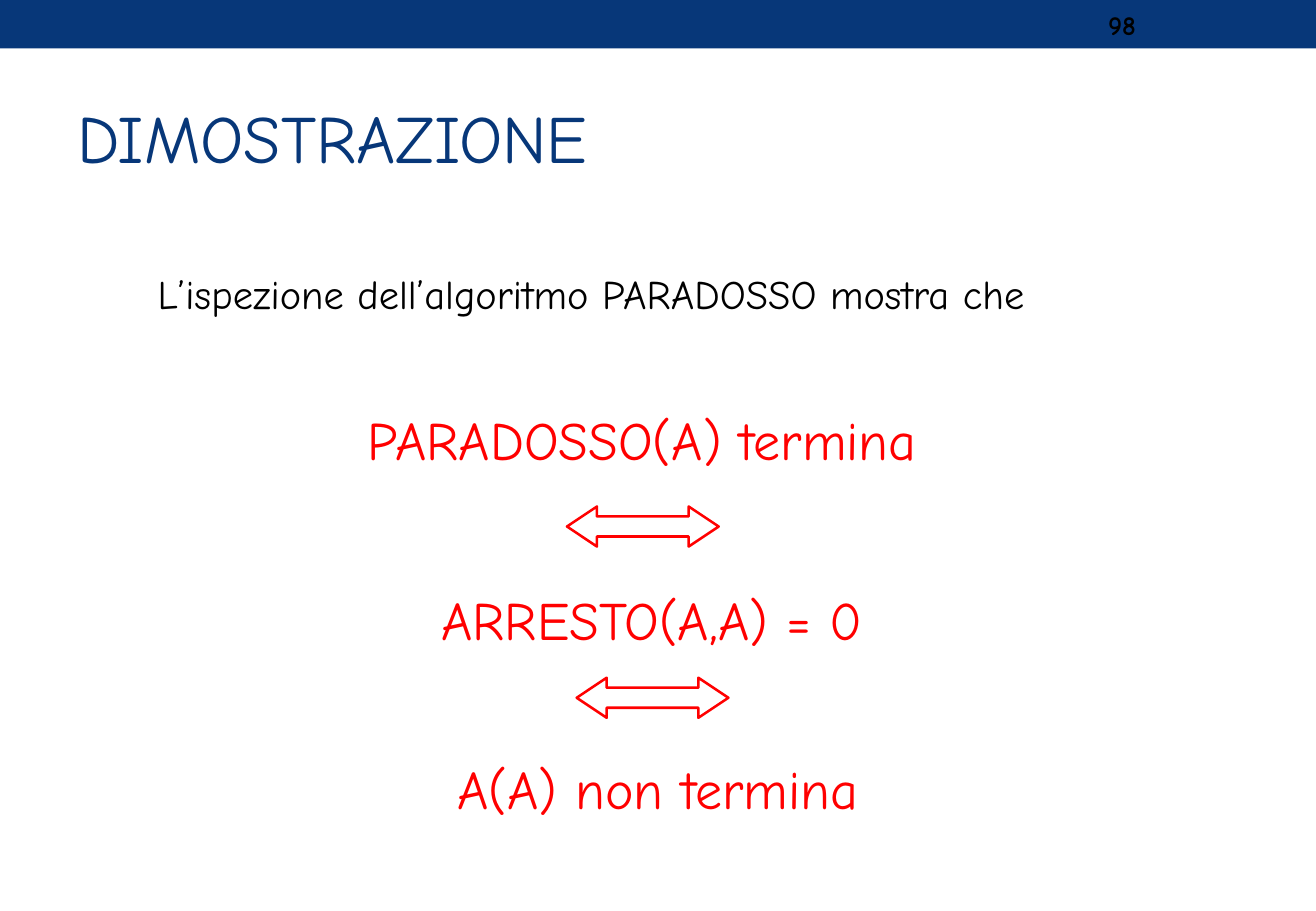
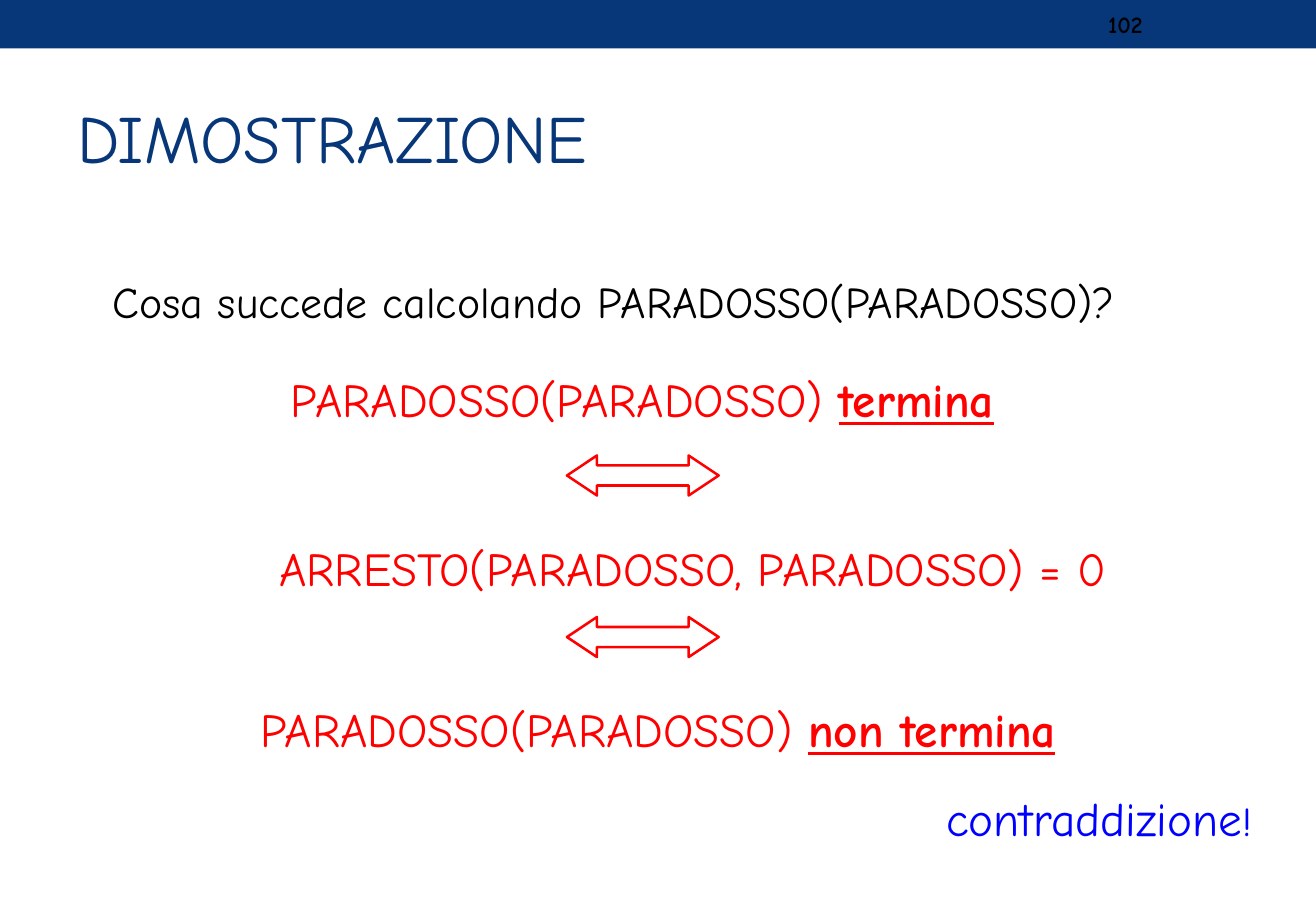
from pptx import Presentation
from pptx.dml.color import RGBColor
from pptx.enum import shapes, text
from pptx.util import Inches, Pt

NAVY = RGBColor(0x07, 0x37, 0x79)
BLACK = RGBColor(0, 0, 0)
RED = RGBColor(0xFF, 0, 0)
BLUE = RGBColor(0, 0, 0xFF)
FONT = "Comic Neue"
SLIDE_W, SLIDE_H = 10.84, 7.5
ARROW_W, ARROW_H = 1.25, 0.33
CENTER, RIGHT = text.PP_ALIGN.CENTER, text.PP_ALIGN.RIGHT
MIDDLE, TOP = text.MSO_ANCHOR.MIDDLE, text.MSO_ANCHOR.TOP


def add_text(slide, box, runs, size, color, align=text.PP_ALIGN.LEFT,
             anchor=TOP, spacing=1.0):
    frame = slide.shapes.add_textbox(*map(Inches, box)).text_frame
    frame.word_wrap = True
    frame.vertical_anchor = anchor
    paragraph = frame.paragraphs[0]
    paragraph.alignment = align
    paragraph.line_spacing = spacing
    for words, style in runs:
        run = paragraph.add_run()
        run.text = words
        font = run.font
        font.name = FONT
        font.size = Pt(style.get("size", size))
        font.color.rgb = color
        font.bold = style.get("bold", False)
        font.underline = style.get("underline", False)


def plain(words):
    return [(words, {})]


def stressed(words, stress):
    return [(words, {}), (stress, {"bold": True, "underline": True})]


def add_frame(prs, title, number, number_size):
    slide = prs.slides.add_slide(prs.slide_layouts[6])
    band = slide.shapes.add_shape(shapes.MSO_SHAPE.RECTANGLE, 0, 0,
                                  Inches(SLIDE_W), Inches(0.4))
    band.shadow.inherit = False
    band.fill.solid()
    band.fill.fore_color.rgb = NAVY
    band.line.fill.background()
    add_text(slide, (0.54, 0.58, 9.75, 1.08), plain(title), 40, NAVY, anchor=MIDDLE)
    add_text(slide, (9.03, 0.02, 1.26, 0.36), [(number, {"bold": True})],
             number_size, BLACK, anchor=MIDDLE)
    return slide


def add_equivalence(slide, left, top):
    arrow = slide.shapes.add_shape(shapes.MSO_SHAPE.LEFT_RIGHT_ARROW, Inches(left),
                                   Inches(top), Inches(ARROW_W), Inches(ARROW_H))
    arrow.shadow.inherit = False
    arrow.adjustments[0] = 0.5
    arrow.adjustments[1] = 0.75
    arrow.fill.background()
    arrow.line.color.rgb = RED
    arrow.line.width = Pt(1.5)


def add_chain(slide, statements, arrows, size):
    for box, runs, spacing in statements:
        add_text(slide, box, runs, size, RED, align=CENTER, spacing=spacing)
    for left, top in arrows:
        add_equivalence(slide, left, top)


def inspection_slide(prs):
    slide = add_frame(prs, "DIMOSTRAZIONE", "98", 16)
    add_text(slide, (1.2, 2.21, 8.8, 1.21),
             plain("L’ispezione dell’algoritmo PARADOSSO mostra che"),
             24, BLACK, spacing=0.9)
    add_chain(slide, [
        ((1.5, 3.4, 7.58, 0.53), plain("PARADOSSO(A) termina"), 0.8),
        ((2.33, 4.67, 6.08, 0.74), plain("ARRESTO(A,A) = 0"), 1.2),
        ((2.42, 6.17, 6, 0.64), plain("A(A) non termina"), 1.0),
    ], [(4.67, 4.17), (4.75, 5.58)], 32)


def contradiction_slide(prs):
    slide = add_frame(prs, "DIMOSTRAZIONE", "102", 14)
    add_text(slide, (0.83, 2.21, 9.58, 0.63),
             plain("Cosa succede calcolando PARADOSSO(PARADOSSO)?"), 26, BLACK)
    call = "PARADOSSO(PARADOSSO) "
    add_chain(slide, [
        ((1.5, 3, 7.58, 0.57), stressed(call, "termina"), 1.0),
        ((0.83, 4.25, 9.75, 0.71), plain("ARRESTO(PARADOSSO, PARADOSSO) = 0"), 1.3),
        ((1.42, 5.67, 8, 0.62), stressed(call, "non termina"), 1.1),
    ], [(4.67, 3.75), (4.67, 5.08)], 28)
    add_text(slide, (6.33, 6.5, 4.08, 0.52),
             [("contraddizione", {}), ("!", {"size": 24})],
             28, BLUE, align=RIGHT, spacing=0.9)


def main():
    prs = Presentation()
    prs.slide_width = Inches(SLIDE_W)
    prs.slide_height = Inches(SLIDE_H)
    inspection_slide(prs)
    contradiction_slide(prs)
    prs.save("out.pptx")


if __name__ == "__main__":
    main()
